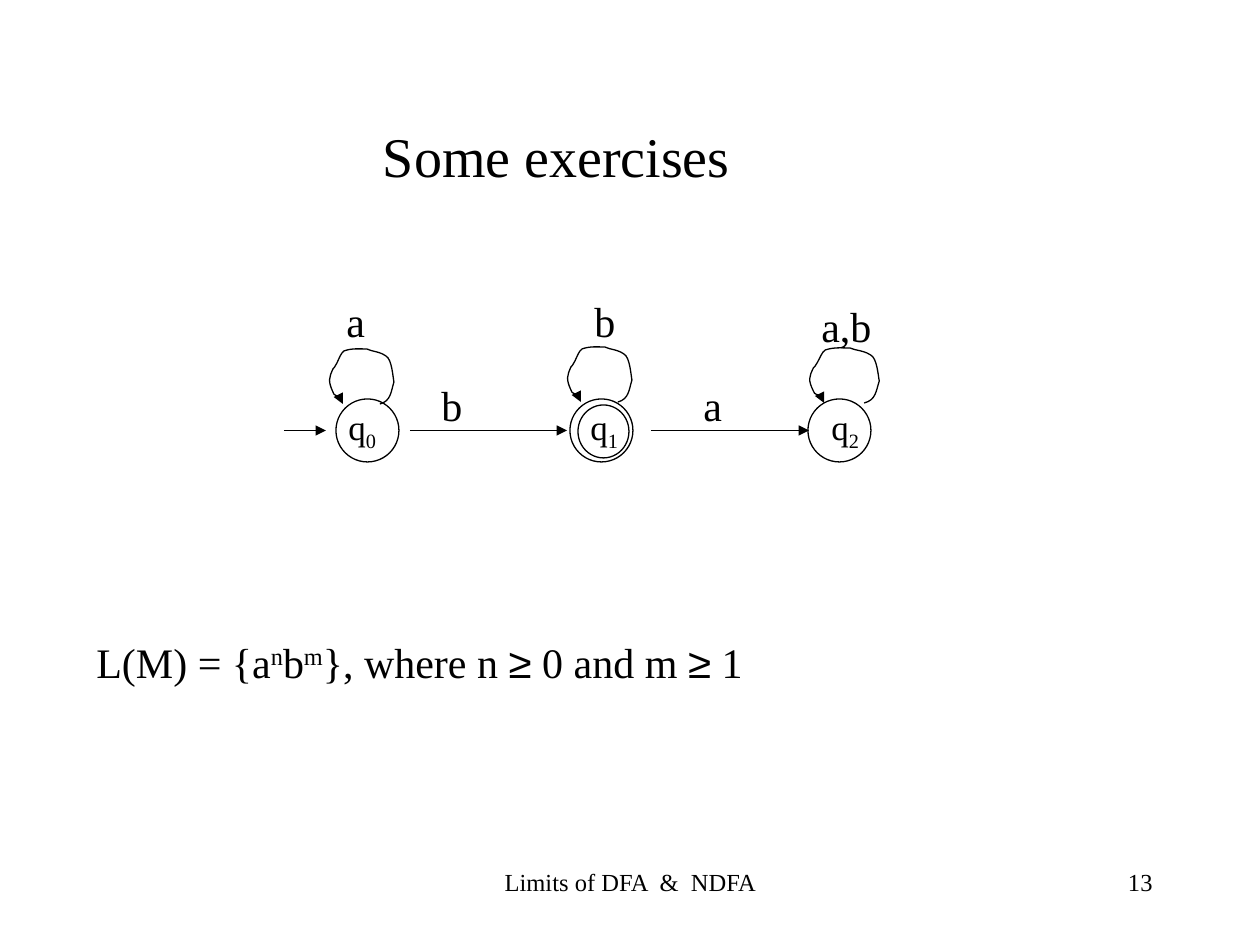
from dataclasses import dataclass

from lxml import etree
from pptx import Presentation
from pptx.dml.color import RGBColor
from pptx.enum.shapes import MSO_CONNECTOR, MSO_SHAPE
from pptx.enum.text import MSO_ANCHOR, MSO_AUTO_SIZE, PP_ALIGN
from pptx.oxml.ns import qn
from pptx.util import Emu, Inches, Pt

BLACK = RGBColor(0, 0, 0)
SERIF, SANS = "Times New Roman", "Arial"
LEFT, CENTER, RIGHT = PP_ALIGN.LEFT, PP_ALIGN.CENTER, PP_ALIGN.RIGHT
TOP = MSO_ANCHOR.TOP
GROW, FIXED = MSO_AUTO_SIZE.SHAPE_TO_FIT_TEXT, MSO_AUTO_SIZE.NONE
OVAL, STRAIGHT = MSO_SHAPE.OVAL, MSO_CONNECTOR.STRAIGHT
SUPER, SUB = 30, -25
STATE_TOP, STATE_SIZE = 399, 63
AXIS_Y = STATE_TOP + STATE_SIZE / 2

# Self-loop: a start point, then cubic curves (two controls and an end)
LOOP_POINTS = [
    (52, 56),
    (63, 53), (63, 44), (66, 34),
    (65, 29), (64, 11), (58, 8),
    (54, 5), (49, 4), (45, 3),
    (44, 3), (39, 1), (39, 1),
    (32, 1), (24, 0), (16, 3),
    (13, 5), (11, 11), (9, 15),
    (8, 18), (5, 21), (5, 21),
    (1, 30), (0, 33), (5, 44),
    (6, 48), (21, 50), (15, 56),
]


@dataclass
class Run:
    text: str
    font: str = SERIF
    base: int = 0


@dataclass
class Label:
    x: int
    y: int
    w: int
    h: int
    runs: list[Run]
    size: int = 24
    align: PP_ALIGN = LEFT
    wrap: bool = True
    fit: MSO_AUTO_SIZE = GROW
    before: float = 0


@dataclass
class Circle:
    x: int
    y: int
    w: int
    h: int


@dataclass
class Arrow:
    x1: int
    x2: int


@dataclass
class Loop:
    x: int
    y: int
    stretch: float = 1


def px(n: float) -> Emu:
    return Emu(round(n * 914400 / 126))


def style_line(s, arrow: bool = False) -> None:
    s.line.color.rgb = BLACK
    s.line.width = Pt(0.75)
    if arrow:
        ln = s.line._get_or_add_ln()
        etree.SubElement(ln, qn("a:tailEnd"), type="triangle")


def fill_text(sp, label: Label) -> None:
    sp.left, sp.top, sp.width, sp.height = map(
        px, (label.x, label.y, label.w, label.h))
    tf = sp.text_frame
    tf.word_wrap = label.wrap
    tf.auto_size = label.fit
    tf.vertical_anchor = TOP
    p = tf.paragraphs[0]
    p.alignment = label.align
    p.space_before = Pt(label.before)
    for run in label.runs:
        r = p.add_run()
        r.text = run.text
        r.font.name = run.font
        r.font.size = Pt(label.size)
        r.font.color.rgb = BLACK
        if run.base:
            r.font._element.set("baseline", str(run.base * 1000))


def add_label(shapes, label: Label) -> None:
    fill_text(shapes.add_textbox(0, 0, 0, 0), label)


def add_circle(shapes, c: Circle) -> None:
    s = shapes.add_shape(OVAL, px(c.x), px(c.y), px(c.w), px(c.h))
    s.shadow.inherit = False
    s.fill.background()
    style_line(s)


def add_arrow(shapes, a: Arrow) -> None:
    s = shapes.add_connector(STRAIGHT, px(a.x1), px(AXIS_Y), px(a.x2), px(AXIS_Y))
    style_line(s, arrow=True)
    etree.SubElement(s._element.spPr, qn("a:effectLst"))


def curve_segments(s) -> None:
    """Join every three line segments into one cubic curve."""
    outline = s._element.find(".//" + qn("a:path"))
    lines = outline.findall(qn("a:lnTo"))
    for i in range(0, len(lines), 3):
        curve = etree.SubElement(outline, qn("a:cubicBezTo"))
        for line in lines[i:i + 3]:
            curve.append(line[0])
            outline.remove(line)


def add_loop(shapes, loop: Loop) -> None:
    points = [(px(loop.x + x * loop.stretch), px(loop.y + y))
              for x, y in LOOP_POINTS]
    builder = shapes.build_freeform(*points[0])
    builder.add_line_segments(points[1:], close=False)
    s = builder.convert_to_shape()
    curve_segments(s)
    s.shadow.inherit = False
    s.fill.background()
    style_line(s, arrow=True)


def state_label(x: int, w: int, index: str) -> Label:
    return Label(x, STATE_TOP, w, 60, [Run("q"), Run(index, base=SUB)], 20,
                 before=12.5)


def symbol(x: int, y: int, w: int, text: str) -> Label:
    return Label(x, y, w, 63, [Run(text)], wrap=False)


TITLE = Label(126, 115, 861, 81, [Run("Some exercises")], 32, CENTER)
LANGUAGE = Label(84, 630, 1061, 63, [
    Run("L(M) = {a"), Run("n", base=SUPER), Run("b"), Run("m", base=SUPER),
    Run("}, where n "), Run("≥", SANS), Run(" 0 and m "), Run("≥", SANS), Run(" 1")])
STATES = [state_label(336, 73, "0"), state_label(578, 95, "1"),
          state_label(819, 84, "2")]
SYMBOLS = [symbol(334, 289, 44, "a"), symbol(429, 373, 45, "b"),
           symbol(582, 289, 45, "b"), symbol(691, 373, 44, "a"),
           symbol(809, 294, 76, "a,b")]
# The last circle is the inner ring of the accepting state
CIRCLES = [Circle(x, STATE_TOP, STATE_SIZE, STATE_SIZE) for x in (336, 570, 808)] + [
    Circle(578, 405, 51, 53)]
ARROWS = [Arrow(284, 326), Arrow(410, 567), Arrow(651, 809)]
LOOPS = [Loop(328, 348), Loop(566, 346), Loop(808, 347, 1.08)]
FOOTERS = [
    Label(431, 861, 399, 63, [Run("Limits of DFA  &  NDFA")], 14, CENTER, fit=FIXED),
    Label(903, 861, 262, 63, [Run("13")], 14, RIGHT, fit=FIXED)]


def main() -> None:
    prs = Presentation()
    prs.slide_width, prs.slide_height = Inches(10), Inches(7.5)
    shapes = prs.slides.add_slide(prs.slide_layouts[5]).shapes

    # Title and language
    fill_text(shapes.title, TITLE)
    add_label(shapes, LANGUAGE)

    # Automaton
    for label in STATES:
        add_label(shapes, label)
    for circle in CIRCLES:
        add_circle(shapes, circle)
    for arrow in ARROWS:
        add_arrow(shapes, arrow)
    for loop in LOOPS:
        add_loop(shapes, loop)
    for label in SYMBOLS:
        add_label(shapes, label)

    # Footer and page number
    for label in FOOTERS:
        add_label(shapes, label)
    prs.save("out.pptx")


if __name__ == "__main__":
    main()
